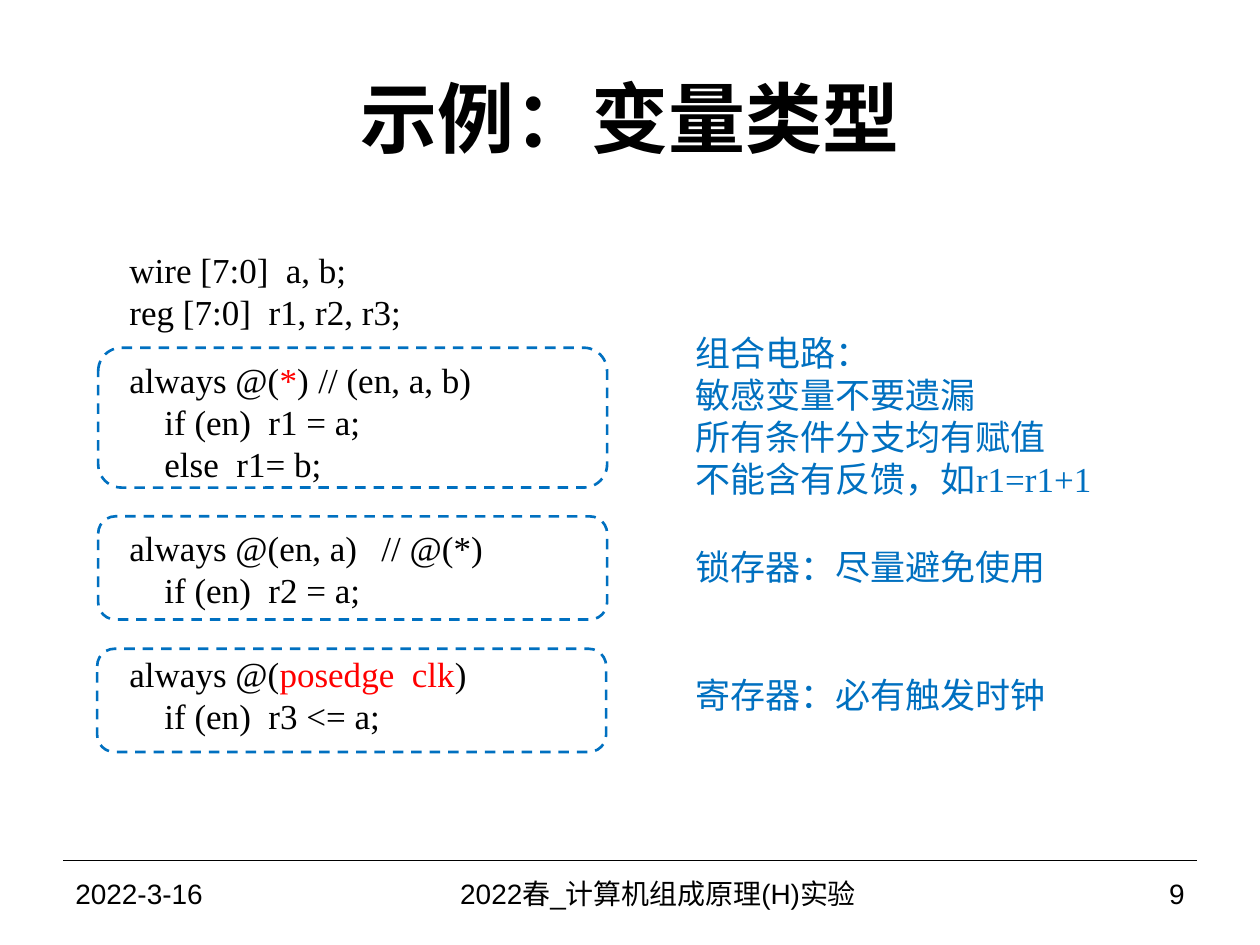
from lxml import etree
from pptx import Presentation
from pptx.dml.color import RGBColor
from pptx.enum import dml, shapes, text
from pptx.oxml import ns
from pptx.util import Cm, Pt

COLORS = {"ink": "000000", "accent": "0070C0", "signal": "FF0000"}
CODE = {"name": "Times New Roman", "size": Pt(20)}
FOOTER = {"name": "Arial", "size": Pt(16)}
TITLE = {"name": "Arial", "size": Pt(44), "bold": True}
LINE_PITCH = Pt(24)

# Each code block: gap above it, then lines of (indented, runs of text and colour)
CODE_BLOCKS = [
    (0, [(False, [("wire [7:0]  a, b;", "ink")]),
         (False, [("reg [7:0]  r1, r2, r3;", "ink")])]),
    (15, [(False, [("always @(", "ink"), ("*", "signal"), (")\t// (en, a, b)", "ink")]),
          (True, [("if (en)  r1 = a;", "ink")]),
          (True, [("else  r1= b;", "ink")])]),
    (24, [(False, [("always @(en, a) \t// @(*)", "ink")]),
          (True, [("if (en)  r2 = a;", "ink")])]),
    (24, [(False, [("always @(", "ink"), ("posedge  clk", "signal"), (")", "ink")]),
          (True, [("if (en)  r3 <= a;", "ink")])]),
]
# Dashed frames: left, top, height
FRAMES = [(0.02, 2.13, 2.82), (0.02, 5.53, 2.08), (0, 8.2, 2.08)]
# Notes: top, width, height, lines
NOTES = [
    (0, 10.21, 4.19, ["组合电路：", "敏感变量不要遗漏", "所有条件分支均有赋值",
                      "不能含有反馈，如r1=r1+1"]),
    (4.32, 9.27, 1.32, ["锁存器：尽量避免使用"]),
    (6.91, 9.27, 1.32, ["寄存器：必有触发时钟"]),
]


def color(name):
    return RGBColor.from_string(COLORS[name])


def add_run(paragraph, words, style, color_name):
    run = paragraph.add_run()
    run.text = words
    for attribute, value in style.items():
        setattr(run.font, attribute, value)
    run.font.color.rgb = color(color_name)


def add_text_frame(slide, left, top, width, height):
    frame = slide.shapes.add_textbox(Cm(left), Cm(top), Cm(width), Cm(height)).text_frame
    frame.word_wrap = True
    return frame


def next_paragraph(frame, is_first):
    return frame.paragraphs[0] if is_first else frame.add_paragraph()


def place_title(slide, left, top, width, height):
    title = slide.shapes.title
    bounds = {"left": left, "top": top, "width": width, "height": height}
    for attribute, value in bounds.items():
        setattr(title, attribute, Cm(value))
    title.text_frame.vertical_anchor = text.MSO_ANCHOR.MIDDLE
    paragraph = title.text_frame.paragraphs[0]
    paragraph.alignment = text.PP_ALIGN.CENTER
    add_run(paragraph, "示例：变量类型", TITLE, "ink")


def place_code(slide, left, top, width, height):
    # Listing, with a tab stop that lines up the comments
    frame = add_text_frame(slide, left + 0.4, top, width, height)
    is_first = True
    for gap, lines in CODE_BLOCKS:
        for number, (indented, runs) in enumerate(lines):
            paragraph = next_paragraph(frame, is_first)
            is_first = False
            paragraph.line_spacing = LINE_PITCH
            paragraph.space_before = Pt(0 if number else gap)
            properties = paragraph._p.get_or_add_pPr()
            properties.set("marL", str(Pt(20) if indented else 0))
            properties.set("indent", "0")
            tabs = etree.SubElement(properties, ns.qn("a:tabLst"))
            etree.SubElement(tabs, ns.qn("a:tab"), pos=str(Cm(5.08)), algn="l")
            for words, color_name in runs:
                add_run(paragraph, words, CODE, color_name)

    # Dashed frames around the always blocks
    for x, y, frame_height in FRAMES:
        outline = slide.shapes.add_shape(
            shapes.MSO_SHAPE.ROUNDED_RECTANGLE,
            Cm(left + x), Cm(top + y), Cm(10.26), Cm(frame_height))
        outline.shadow.inherit = False
        outline.fill.background()
        outline.line.color.rgb = color("accent")
        outline.line.width = Pt(1.5)
        outline.line.dash_style = dml.MSO_LINE.DASH


def place_notes(slide, left, top):
    for y, width, height, lines in NOTES:
        frame = add_text_frame(slide, left, top + y, width, height)
        for number, words in enumerate(lines):
            paragraph = next_paragraph(frame, number == 0)
            paragraph.line_spacing = LINE_PITCH
            add_run(paragraph, words, CODE, "accent")


def place_footer(slide, left, top, width, height):
    # Rule above the footer
    rule = slide.shapes.add_connector(
        shapes.MSO_CONNECTOR.STRAIGHT, Cm(left), Cm(top), Cm(left + width), Cm(top))
    rule.line.color.rgb = color("ink")
    rule.line.width = Pt(0.75)
    etree.SubElement(rule._element.spPr, ns.qn("a:effectLst"))

    # Date, course and page number side by side
    align = text.PP_ALIGN
    cells = [("2022-3-16", 5.92, align.LEFT),
             ("2022春_计算机组成原理(H)实验 ", 12.28, align.CENTER),
             ("9", 4.66, align.RIGHT)]
    for words, cell_width, alignment in cells:
        frame = add_text_frame(slide, left, top, cell_width, height)
        frame.vertical_anchor = text.MSO_ANCHOR.MIDDLE
        frame.paragraphs[0].alignment = alignment
        add_run(frame.paragraphs[0], words, FOOTER, "ink")
        left += cell_width


def main():
    presentation = Presentation()
    presentation.slide_width, presentation.slide_height = Cm(25.4), Cm(19.05)
    slide = presentation.slides.add_slide(presentation.slide_layouts[5])
    place_title(slide, 1.27, 0.76, 22.86, 3.18)
    place_code(slide, 1.96, 4.88, 10.69, 10.31)
    place_notes(slide, 13.77, 6.55)
    place_footer(slide, 1.27, 17.35, 22.86, 1.32)
    presentation.save("out.pptx")


if __name__ == "__main__":
    main()
